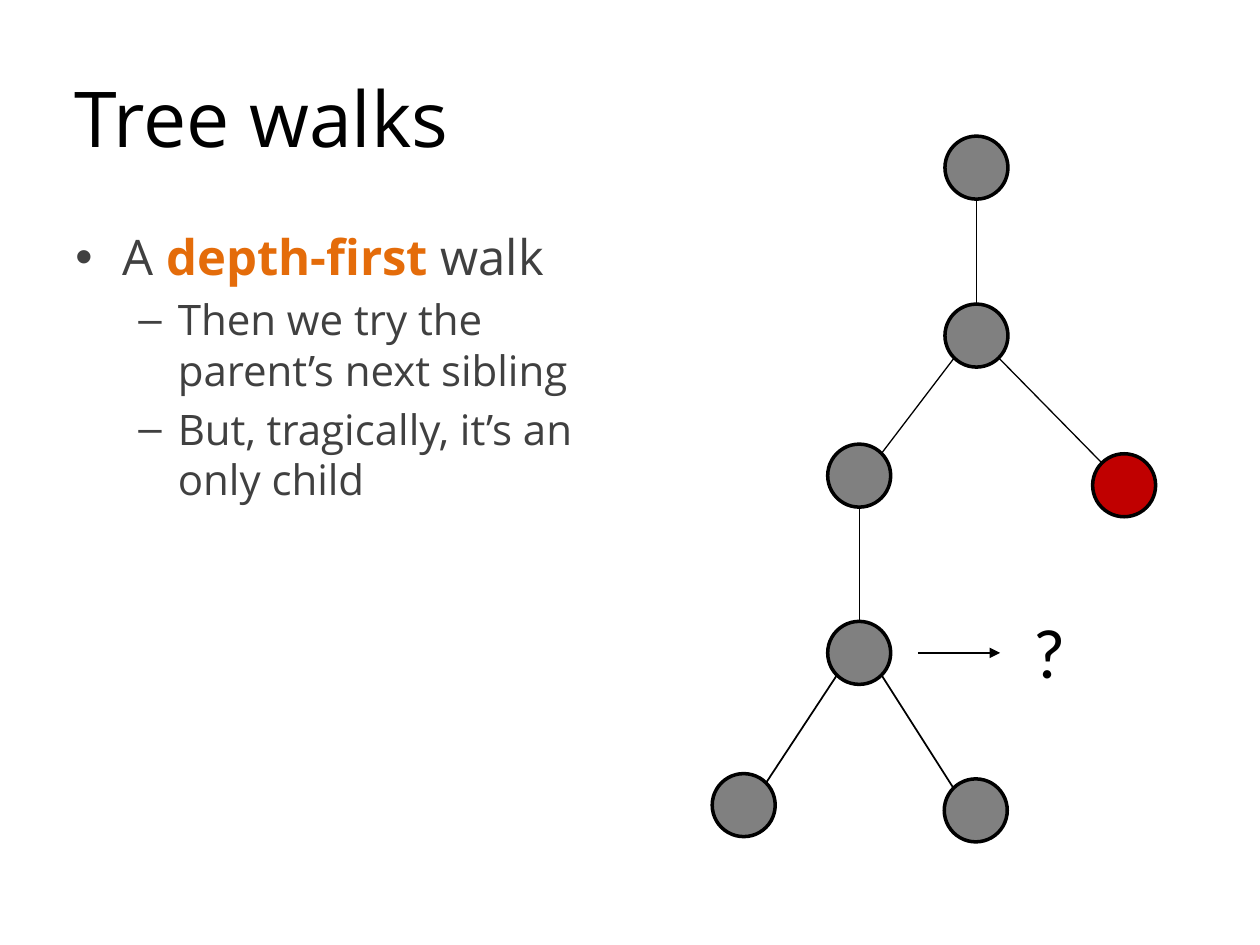
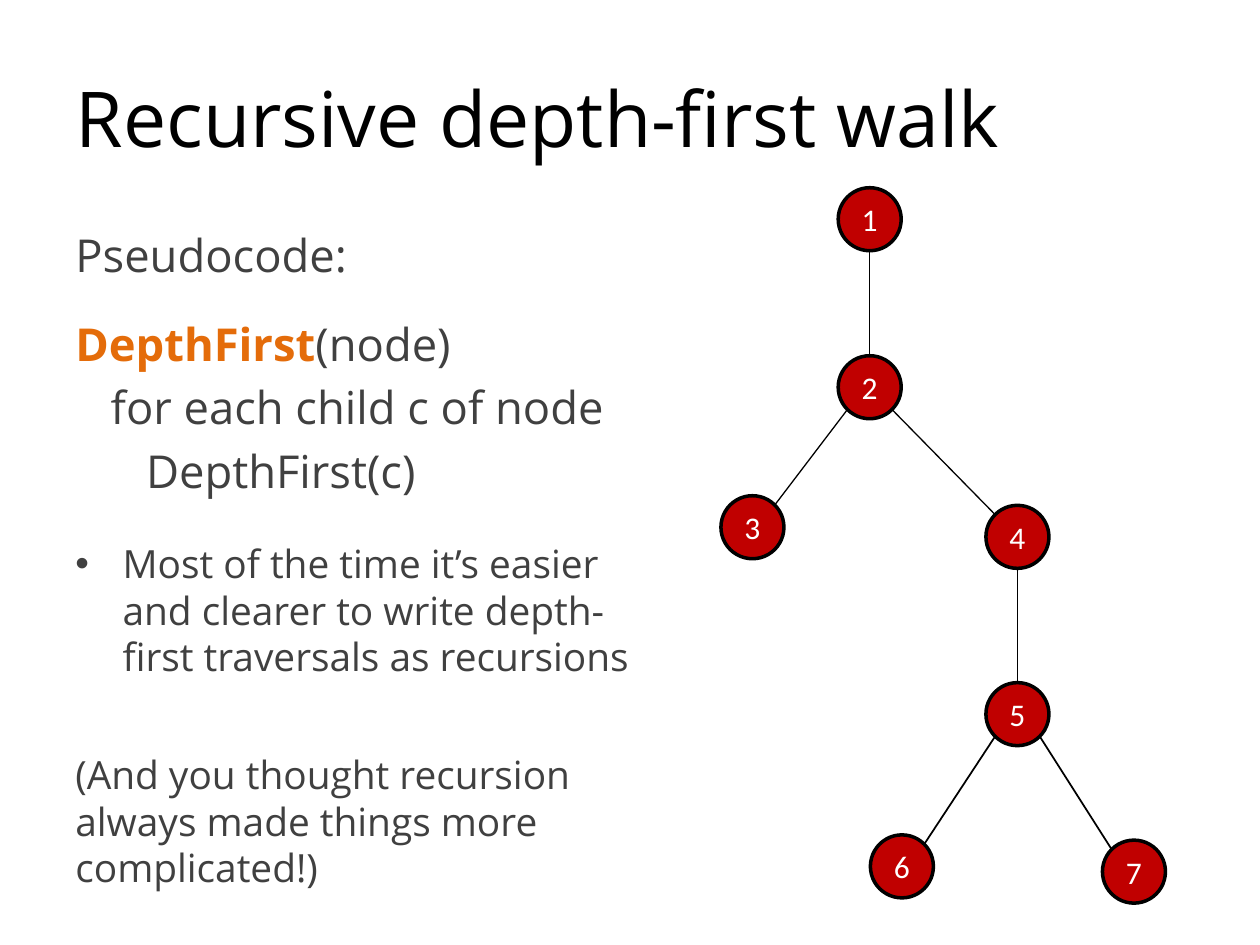
from lxml import etree
from pptx import Presentation
from pptx.dml.color import RGBColor
from pptx.enum.shapes import MSO_CONNECTOR, MSO_SHAPE
from pptx.enum.text import MSO_ANCHOR, PP_ALIGN
from pptx.oxml.ns import qn
from pptx.util import Pt

STRAIGHT, OVAL = MSO_CONNECTOR.STRAIGHT, MSO_SHAPE.OVAL
LEFT, CENTER = PP_ALIGN.LEFT, PP_ALIGN.CENTER
TOP, MIDDLE = MSO_ANCHOR.TOP, MSO_ANCHOR.MIDDLE

BLACK = RGBColor(0x00, 0x00, 0x00)
WHITE = RGBColor(0xFF, 0xFF, 0xFF)
TEXT_GRAY = RGBColor(0x40, 0x40, 0x40)
NODE_GRAY = RGBColor(0x80, 0x80, 0x80)
RED = RGBColor(0xC0, 0x00, 0x00)
ORANGE = RGBColor(0xE4, 0x6C, 0x0A)

MAIN_FONT, LABEL_FONT = "Open Sans", "Calibri"
TITLE_ONLY = 5
RADIUS = 18
DIAGONAL = RADIUS * 0.71

# Steps from a parent node to its children, in points
TRUNK = {2: (1, 0, 96), 3: (2, -67, 80), 4: (2, 84.4, 85.5)}
LEAVES = {6: (5, -66, 87), 7: (5, 66.6, 90)}


def write(paragraph, text, size=28, color=TEXT_GRAY, font=MAIN_FONT, bold=False):
    """Add one formatted run to a paragraph."""
    run = paragraph.add_run()
    run.text = text
    run.font.size = Pt(size)
    run.font.name = font
    run.font.bold = bold
    run.font.color.rgb = color


class Deck:
    def __init__(self):
        self.file = Presentation()
        self.file.slide_width, self.file.slide_height = Pt(720), Pt(540)
        self.slide = None

    def new_slide(self, title, left=36):
        self.slide = self.file.slides.add_slide(self.file.slide_layouts[TITLE_ONLY])
        heading = self.slide.shapes.title
        heading.left, heading.top = Pt(left), Pt(21.6)
        heading.width, heading.height = Pt(648), Pt(90)
        heading.text_frame.vertical_anchor = MIDDLE
        paragraph = heading.text_frame.paragraphs[0]
        paragraph.alignment = LEFT
        write(paragraph, title, size=44, color=BLACK)

    def text_box(self, left, top, width, height, wrap=True):
        frame = self.slide.shapes.add_textbox(
            Pt(left), Pt(top), Pt(width), Pt(height)).text_frame
        frame.word_wrap = wrap
        frame.vertical_anchor = TOP
        return frame

    def body(self, width, paragraphs):
        """Each paragraph is (runs, size, space before, bullet, margin, hanging)."""
        frame = self.text_box(36, 126, width, 356.4)
        for i, (runs, size, before, bullet, margin, hanging) in enumerate(paragraphs):
            paragraph = frame.add_paragraph() if i else frame.paragraphs[0]
            paragraph.space_before = Pt(before)
            properties = paragraph._p.get_or_add_pPr()
            properties.set("marL", str(Pt(margin)))
            properties.set("indent", str(-Pt(hanging)))
            if bullet:
                etree.SubElement(properties, qn("a:buFont"), typeface="Arial")
                etree.SubElement(properties, qn("a:buChar"), char=bullet)
            for text, emphasized in runs:
                write(paragraph, text, size=size, bold=emphasized,
                      color=ORANGE if emphasized else TEXT_GRAY)

    def node(self, x, y, fill, label=None):
        circle = self.slide.shapes.add_shape(
            OVAL, Pt(x - RADIUS), Pt(y - RADIUS), Pt(2 * RADIUS), Pt(2 * RADIUS))
        circle.shadow.inherit = False
        circle.fill.solid()
        circle.fill.fore_color.rgb = fill
        circle.line.color.rgb = BLACK
        circle.line.width = Pt(2)
        if label:
            frame = circle.text_frame
            frame.margin_left = frame.margin_right = Pt(0)
            frame.vertical_anchor = MIDDLE
            frame.paragraphs[0].alignment = CENTER
            write(frame.paragraphs[0], label, size=18, color=WHITE, font=LABEL_FONT)

    def line(self, start, end, width=0.75, arrow=False):
        link = self.slide.shapes.add_connector(
            STRAIGHT, *(Pt(value) for value in (*start, *end)))
        link.line.color.rgb = BLACK
        link.line.width = Pt(width)
        if arrow:
            etree.SubElement(link.line._get_or_add_ln(), qn("a:tailEnd"), type="triangle")
        etree.SubElement(link._element.spPr, qn("a:effectLst"))

    def edge(self, parent, child, width):
        (px, py), (cx, cy) = parent, child
        if px == cx:
            self.line((px, py + RADIUS), (cx, cy - RADIUS), width)
        else:
            side = DIAGONAL if cx > px else -DIAGONAL
            self.line((px + side, py + DIAGONAL), (cx - side, cy - DIAGONAL), width)

    def tree(self, root, branch, fills, labelled=False):
        """Draw the tree; node 5 hangs straight below the branch node."""
        centers = {1: root}
        for child, (parent, dx, dy) in {**TRUNK, 5: (branch, 0, 101.3), **LEAVES}.items():
            x, y = centers[parent]
            centers[child] = (x + dx, y + dy)
            self.edge(centers[parent], centers[child], 1 if child in LEAVES else 0.75)
        for number, (x, y) in centers.items():
            self.node(x, y, fills.get(number, fills["other"]),
                      str(number) if labelled else None)
        return centers


def main():
    deck = Deck()

    # Depth-first walk that looks for a sibling
    deck.new_slide("Tree walks", left=35.3)
    deck.body(318.2, [
        ([("A ", False), ("depth-first ", True), ("walk", False)], 28, 5.6, "•", 27, 27),
        ([("Then we try the parent’s next sibling", False)], 24, 4.8, "–", 58.5, 22.5),
        ([("But, tragically, it’s an only child", False)], 24, 4.8, "–", 58.5, 22.5),
    ])
    centers = deck.tree((558, 95.8), 3, {4: RED, "other": NODE_GRAY})
    x, y = centers[5]
    deck.line((x + 33.5, y), (x + 80.5, y), 1.5, arrow=True)
    question = deck.text_box(583.2, 344.2, 33, 55.4, wrap=False)
    write(question.paragraphs[0], "?", size=40, color=BLACK, font=LABEL_FONT)

    # Recursive pseudocode with the visiting order
    deck.new_slide("Recursive depth-first walk")
    deck.body(347.8, [
        ([("Pseudocode:", False)], 25.9, 5.2, None, 0, 0),
        ([("DepthFirst", True), ("(node)", False)], 25.9, 20, None, 0, 0),
        ([("for each child c of node", False)], 25.9, 5.2, None, 20.2, 0),
        ([("DepthFirst(c)", False)], 25.9, 5.2, None, 40.4, 0),
        ([("Most of the time it’s easier and clearer to write depth-first "
           "traversals as recursions", False)], 22.2, 24, "•", 27, 27),
        ([("(And you thought recursion always made things more complicated!)",
           False)], 22.2, 40.8, None, 0, 0),
    ])
    deck.tree((497, 125.3), 4, {"other": RED}, labelled=True)

    deck.file.save("out.pptx")


if __name__ == "__main__":
    main()
